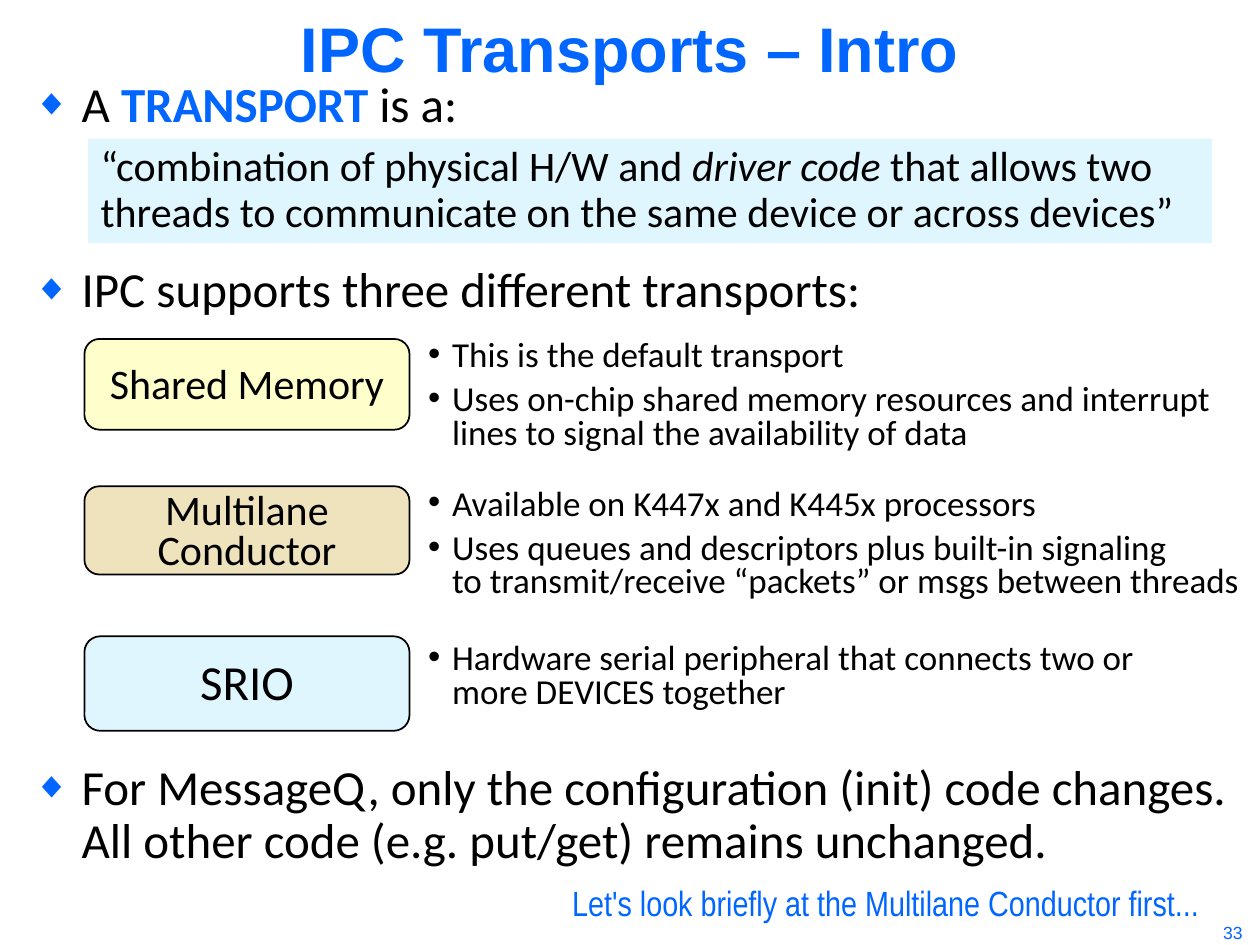
import pptx
import pptx.util
import pptx.dml.color
import pptx.enum.shapes
import pptx.enum.text
import pptx.oxml.ns
from dataclasses import dataclass
from lxml import etree
from pptx.util import Inches


@dataclass(frozen=True)
class Theme:
    blue: str = "0066FF"
    black: str = "000000"
    yellow: str = "FFFFCC"
    tan: str = "EFE3BE"
    ice: str = "DFF6FF"
    body_font: str = "Calibri"
    title: int = 36
    point: int = 28
    label: int = 24
    detail: int = 20
    number: int = 10


theme = Theme()
rgb = pptx.dml.color.RGBColor.from_string
qn = pptx.oxml.ns.qn
ALIGN = pptx.enum.text.PP_ALIGN
ANCHOR = pptx.enum.text.MSO_ANCHOR
FIT = pptx.enum.text.MSO_AUTO_SIZE
SHAPE = pptx.enum.shapes.MSO_SHAPE


def set_frame(shape, wrap=False, fit=FIT.SHAPE_TO_FIT_TEXT, anchor=ANCHOR.MIDDLE):
    frame = shape.text_frame
    frame.word_wrap, frame.auto_size, frame.vertical_anchor = wrap, fit, anchor
    return frame


def write(paragraph, parts, size, color=theme.black, font=theme.body_font,
          spacing=None, align=ALIGN.LEFT, bullet=None, indent=0):
    """Fill a paragraph from (text, emphasis) parts; a newline is a line break."""
    paragraph.alignment = align
    if spacing:
        paragraph.line_spacing = spacing
    if bullet:
        props = paragraph._p.get_or_add_pPr()
        props.set("marL", str(Inches(indent)))
        props.set("indent", str(-Inches(indent)))
        if bullet == "◆":
            tint = etree.SubElement(props, qn("a:buClr"))
            etree.SubElement(tint, qn("a:srgbClr"), val=theme.blue)
            etree.SubElement(props, qn("a:buSzPct"), val="75000")
        etree.SubElement(props, qn("a:buFont"), typeface="Arial")
        etree.SubElement(props, qn("a:buChar"), char=bullet)
    paragraph.font.size = pptx.util.Pt(size)
    paragraph.font.name = font
    paragraph.font.color.rgb = rgb(color)
    for text, emphasis in parts:
        for index, line in enumerate(text.split("\n")):
            if index:
                paragraph.add_line_break()
            run = paragraph.add_run()
            run.text = line
            if emphasis == "key":
                run.font.bold = True
                run.font.color.rgb = rgb(theme.blue)
            elif emphasis == "italic":
                run.font.italic = True


deck = pptx.Presentation()
deck.slide_width, deck.slide_height = Inches(10), Inches(7.5)
slide = deck.slides.add_slide(deck.slide_layouts[5])
shapes = slide.shapes

# Title
title = shapes.title
title.left, title.top = Inches(0), Inches(-0.03)
title.width, title.height = Inches(10), Inches(0.81)
heading = set_frame(title, fit=FIT.NONE).paragraphs[0]
write(heading, [("IPC Transports – Intro", None)], theme.title, theme.blue,
      "Arial", align=ALIGN.CENTER)
heading.font.bold = True

# Main points
points = [
    (0.58, 3.6, 0.53, [("A ", None), ("TRANSPORT", "key"), (" is a:", None)]),
    (2.05, 6.84, 0.53, [("IPC supports three different transports:", None)]),
    (6, 9.77, 0.95, [("For MessageQ, only the configuration (init) code changes.\n"
                      "All other code (e.g. put/get) remains unchanged.", None)]),
]
for top, width, height, parts in points:
    point = shapes.add_textbox(Inches(0.17), Inches(top), Inches(width), Inches(height))
    write(set_frame(point).paragraphs[0], parts, theme.point,
          spacing=0.9, bullet="◆", indent=0.38)

# Definition of a transport
definition = shapes.add_shape(SHAPE.RECTANGLE, Inches(0.7), Inches(1.1),
                              Inches(8.92), Inches(0.83))
definition.shadow.inherit = False
definition.fill.solid()
definition.fill.fore_color.rgb = rgb(theme.ice)
definition.line.fill.background()
write(set_frame(definition).paragraphs[0],
      [("“combination of physical H/W and ", None), ("driver code ", "italic"),
       ("that allows two\nthreads to communicate on the same device or across devices”", None)],
      theme.label, spacing=0.9)

# Transports: label box on the left, details on the right
transports = [
    ("Shared Memory", theme.yellow, theme.label, 2.69, 0.72, 2.65, 6.46, 0.99,
     ["This is the default transport",
      "Uses on-chip shared memory resources and interrupt\n"
      "lines to signal the availability of data"]),
    ("Multilane Conductor", theme.tan, theme.label, 3.86, 0.7, 3.83, 6.7, 0.99,
     ["Available on K447x and K445x processors",
      "Uses queues and descriptors plus built-in signaling\n"
      "to transmit/receive “packets” or msgs between threads"]),
    ("SRIO", theme.ice, theme.point, 5.05, 0.75, 5.05, 5.92, 0.65,
     ["Hardware serial peripheral that connects two or\nmore DEVICES together"]),
]
for name, color, size, top, height, details_top, details_width, details_height, details in transports:
    label = shapes.add_shape(SHAPE.ROUNDED_RECTANGLE, Inches(0.67), Inches(top),
                             Inches(2.58), Inches(height))
    label.shadow.inherit = False
    label.fill.solid()
    label.fill.fore_color.rgb = rgb(color)
    label.line.color.rgb = rgb(theme.black)
    label.line.width = pptx.util.Pt(1)
    label_frame = set_frame(label, wrap=True, fit=FIT.NONE)
    label_frame.margin_top = Inches(0.1)
    write(label_frame.paragraphs[0], [(name, None)], size, spacing=0.8, align=ALIGN.CENTER)

    notes = shapes.add_textbox(Inches(3.3), Inches(details_top),
                               Inches(details_width), Inches(details_height))
    notes_frame = set_frame(notes)
    for index, detail in enumerate(details):
        paragraph = notes_frame.add_paragraph() if index else notes_frame.paragraphs[0]
        if index:
            paragraph.space_before = pptx.util.Pt(6)
        write(paragraph, [(detail, None)], theme.detail, spacing=0.8,
              bullet="•", indent=0.19)

# Lead-in to the next topic
lead_in = shapes.add_textbox(Inches(4.5), Inches(7.06), Inches(5.02), Inches(0.27))
lead_frame = set_frame(lead_in, anchor=ANCHOR.BOTTOM)
lead_frame.margin_left = lead_frame.margin_right = Inches(0)
lead_frame.margin_top = lead_frame.margin_bottom = Inches(0)
write(lead_frame.paragraphs[0],
      [("Let's look briefly at the Multilane Conductor first...", None)],
      theme.detail, theme.blue, "Arial Narrow", 0.8, ALIGN.RIGHT)

# Page number
number = shapes.add_textbox(Inches(9.44), Inches(7.27), Inches(0.69), Inches(0.27))
write(set_frame(number, wrap=True).paragraphs[0], [("33", None)],
      theme.number, theme.blue, "Arial", align=ALIGN.CENTER)

deck.save("out.pptx")
